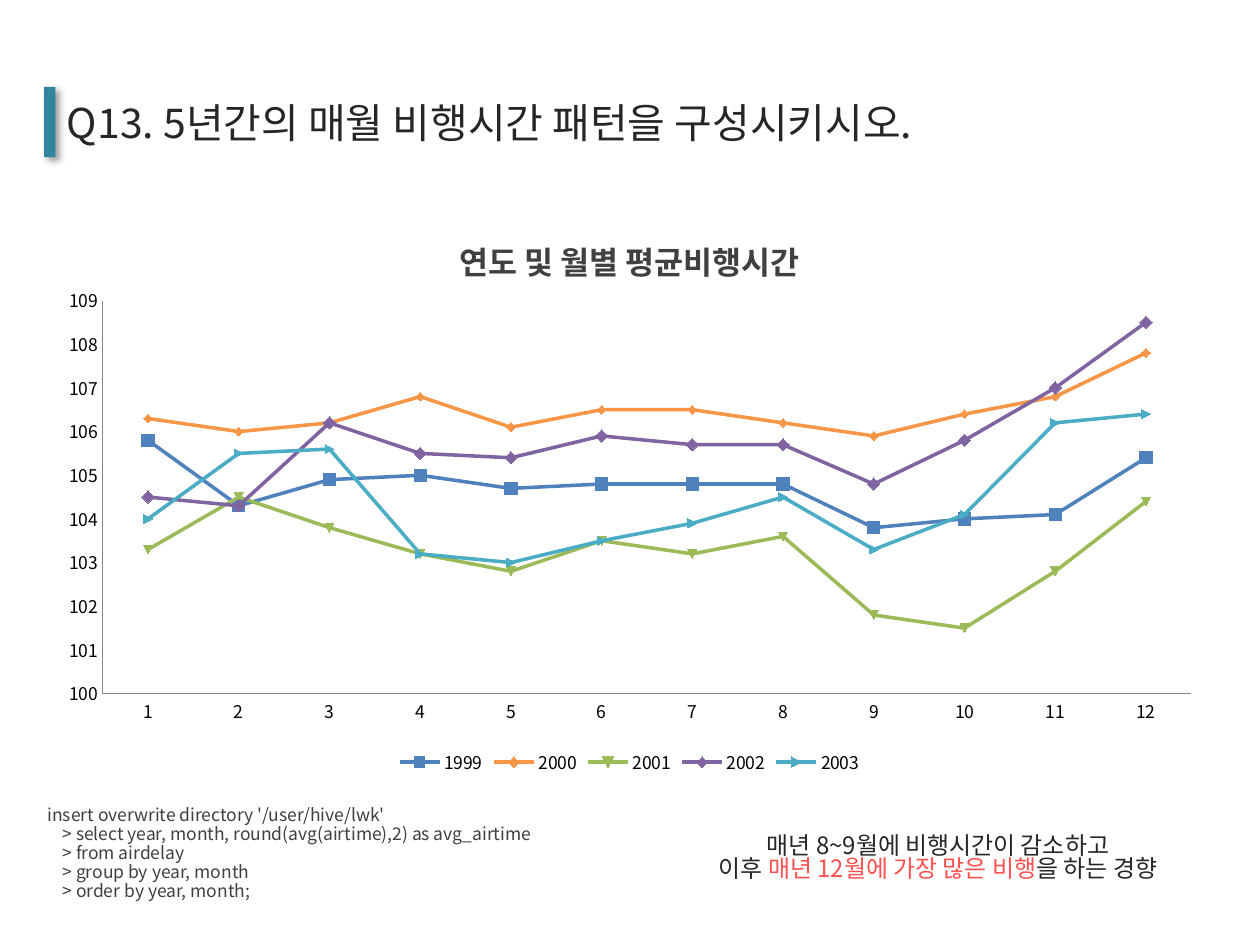
from lxml import etree
from pptx import Presentation
from pptx.chart.data import CategoryChartData
from pptx.dml.color import RGBColor
from pptx.enum.chart import XL_CHART_TYPE, XL_LEGEND_POSITION, XL_MARKER_STYLE, XL_TICK_MARK
from pptx.enum.shapes import MSO_SHAPE
from pptx.enum.text import MSO_ANCHOR, PP_ALIGN
from pptx.oxml.ns import qn
from pptx.util import Cm, Pt

LINE_MARKERS = XL_CHART_TYPE.LINE_MARKERS
BOTTOM = XL_LEGEND_POSITION.BOTTOM
AUTO, DIAMOND = XL_MARKER_STYLE.AUTOMATIC, XL_MARKER_STYLE.DIAMOND
NO_TICK = XL_TICK_MARK.NONE
RECTANGLE = MSO_SHAPE.RECTANGLE
TOP, MIDDLE = MSO_ANCHOR.TOP, MSO_ANCHOR.MIDDLE
LEFT, CENTER = PP_ALIGN.LEFT, PP_ALIGN.CENTER

DARK, GRAY, RED, TEAL, AXIS = "262626", "404040", "FF5050", "31859C", "868686"

FLIGHT_TIMES = [
    ("1999", "4F81BD", AUTO, 7,
     [105.8, 104.3, 104.9, 105, 104.7, 104.8, 104.8, 104.8, 103.8, 104, 104.1, 105.4]),
    ("2000", "F79646", AUTO, 5,
     [106.3, 106, 106.2, 106.8, 106.1, 106.5, 106.5, 106.2, 105.9, 106.4, 106.8, 107.8]),
    ("2001", "9BBB59", AUTO, 5,
     [103.3, 104.5, 103.8, 103.2, 102.8, 103.5, 103.2, 103.6, 101.8, 101.5, 102.8, 104.4]),
    ("2002", "8064A2", DIAMOND, 7,
     [104.5, 104.3, 106.2, 105.5, 105.4, 105.9, 105.7, 105.7, 104.8, 105.8, 107, 108.5]),
    ("2003", "4BACC6", AUTO, 5,
     [104, 105.5, 105.6, 103.2, 103, 103.5, 103.9, 104.5, 103.3, 104.1, 106.2, 106.4]),
]

QUERY = [
    "insert overwrite directory '/user/hive/lwk'",
    "> select year, month, round(avg(airtime),2) as avg_airtime",
    "> from airdelay",
    "> group by year, month",
    "> order by year, month;",
]


def color(value):
    return RGBColor.from_string(value)


class SlideBuilder:
    """Holds the style and the current slide, and adds each kind of element."""

    font = "Noto Sans CJK KR"

    def __init__(self, page):
        self.page = page

    def style(self, font, size, tint, bold=False):
        font.name, font.size, font.bold = self.font, Pt(size), bold
        font.color.rgb = color(tint)

    def text(self, place, paragraphs, size, anchor=MIDDLE, align=LEFT, spacing=1.0, indent=0):
        box = self.page.shapes.add_textbox(*map(Cm, place))
        frame = box.text_frame
        frame.word_wrap = True
        frame.vertical_anchor = anchor
        for index, spans in enumerate(paragraphs):
            para = frame.add_paragraph() if index else frame.paragraphs[0]
            para.alignment, para.line_spacing = align, spacing
            if index and indent:
                para._p.get_or_add_pPr().set("marL", str(Cm(indent)))
            for words, tint in spans:
                span = para.add_run()
                span.text = words
                self.style(span.font, size, tint)
                east_asian = etree.SubElement(span.font._element, qn("a:ea"))
                east_asian.set("typeface", self.font)

    def accent_bar(self, place, tint):
        bar = self.page.shapes.add_shape(RECTANGLE, *map(Cm, place))
        bar.fill.solid()
        bar.fill.fore_color.rgb = color(tint)
        bar.line.fill.background()
        bar.shadow.inherit = False
        effects = bar._element.spPr.find(qn("a:effectLst"))
        shadow = etree.SubElement(effects, qn("a:outerShdw"), blurRad=str(Pt(4)),
                                  dist=str(Pt(3)), dir="2700000", algn="tl", rotWithShape="0")
        tone = etree.SubElement(shadow, qn("a:srgbClr"), val="000000")
        etree.SubElement(tone, qn("a:alpha"), val="40000")

    def layout(self, parent, position, **values):
        for old in parent.findall(qn("c:layout")):
            parent.remove(old)
        layout = etree.Element(qn("c:layout"))
        manual = etree.SubElement(layout, qn("c:manualLayout"))
        for name, value in values.items():
            etree.SubElement(manual, qn("c:" + name), val=str(value))
        parent.insert(position, layout)

    def axis(self, axis):
        axis.major_tick_mark = axis.minor_tick_mark = NO_TICK
        axis.has_major_gridlines = False
        axis.format.line.color.rgb = color(AXIS)
        axis.format.line.width = Pt(0.75)

    def line_chart(self, place, title, categories, rows):
        data = CategoryChartData(number_format="General")
        data.categories = categories
        for name, _, _, _, values in rows:
            data.add_series(name, values)
        chart = self.page.shapes.add_chart(LINE_MARKERS, *map(Cm, place), data).chart
        self.style(chart.font, 10, "000000")
        chart.has_title = True
        chart.chart_title.text_frame.text = title
        span = chart.chart_title.text_frame.paragraphs[0].runs[0]
        self.style(span.font, 18, GRAY, bold=True)
        chart.has_legend = True
        chart.legend.position = BOTTOM
        chart.legend.include_in_layout = False
        self.axis(chart.category_axis)
        self.axis(chart.value_axis)
        chart.value_axis.minimum_scale = 100
        chart.value_axis.maximum_scale = 109
        chart.value_axis.major_unit = 1
        chart.plots[0].vary_by_categories = False
        for series, (_, tint, marker, size, _) in zip(chart.plots[0].series, rows):
            series.smooth = False
            series.format.line.color.rgb = color(tint)
            series.format.line.width = Pt(2)
            series.marker.style, series.marker.size = marker, size
            series.marker.format.fill.solid()
            series.marker.format.fill.fore_color.rgb = color(tint)
            series.marker.format.line.fill.background()
        root = chart.element
        self.layout(root.find(".//" + qn("c:title")), 1,
                    xMode="edge", yMode="edge", x=0.35, y=0.05)
        self.layout(root.find(".//" + qn("c:plotArea")), 0, layoutTarget="inner",
                    xMode="edge", yMode="edge", x=0.05, y=0.175, w=0.93, h=0.677)


deck = Presentation()
deck.slide_width, deck.slide_height = Cm(25.4), Cm(19.05)
slide = SlideBuilder(deck.slides.add_slide(deck.slide_layouts[6]))

slide.text((13.03, 16.13, 11.76, 2.39), [
    [("매년 8~9월에 비행시간이 감소하고", DARK)],
    [("이후 ", DARK), ("매년 12월에 가장 많은 비행", RED), ("을 하는 경향", DARK)],
], 13.7, align=CENTER, spacing=0.8)
slide.text((1.1, 1.42, 24.3, 2.08),
           [[("Q13. 5년간의 매월 비행시간 패턴을 구성시키시오.", DARK)]], 23.4)
slide.accent_bar((0.89, 1.75, 0.23, 1.42), TEAL)
slide.line_chart((0.89, 4.01, 23.6, 11.71), "연도 및 월별 평균비행시간",
                 [str(month) for month in range(1, 13)], FLIGHT_TIMES)
slide.text((0.71, 16.13, 11.33, 2.39), [[(line, GRAY)] for line in QUERY], 10,
           anchor=TOP, spacing=0.9, indent=0.3)

deck.save("out.pptx")
